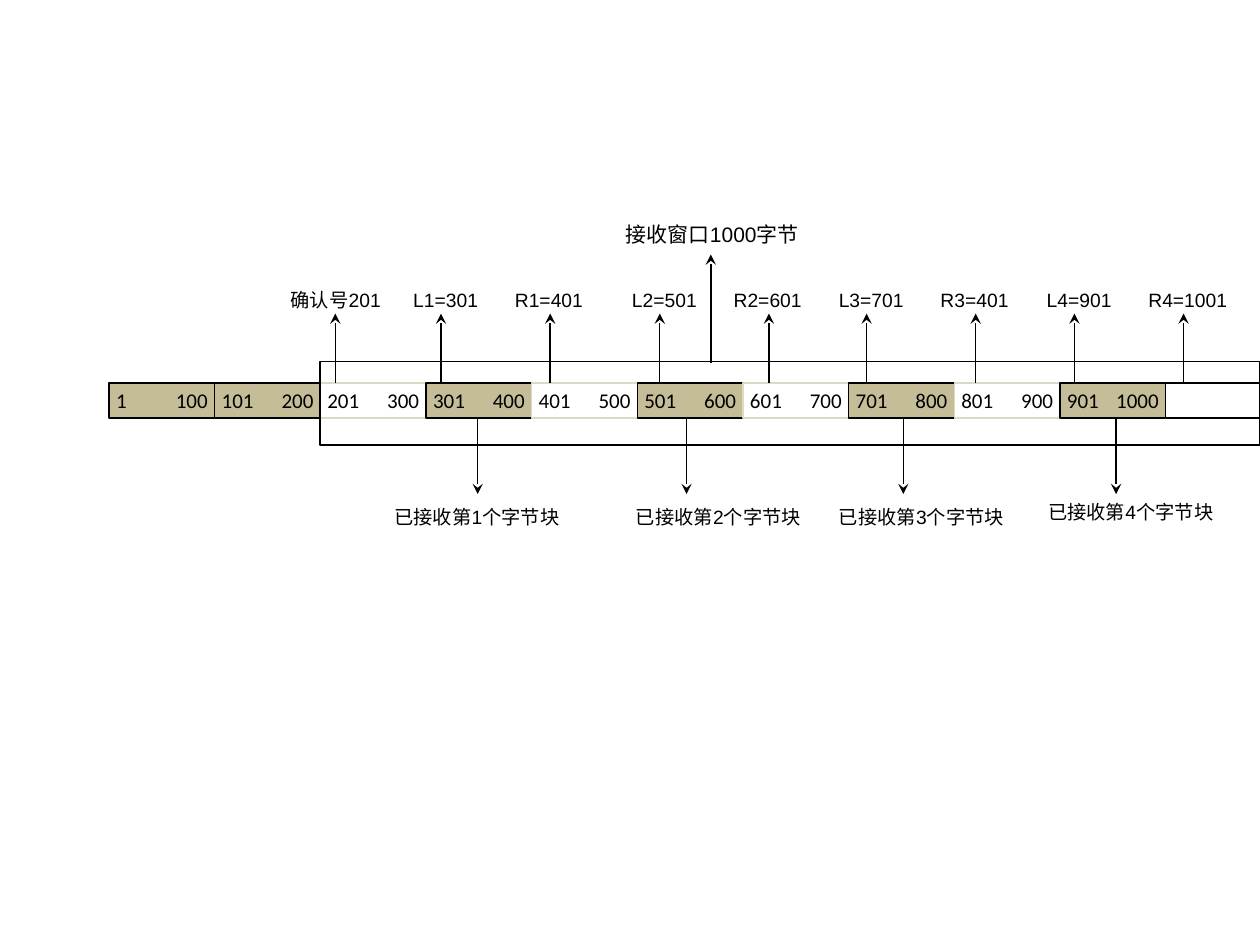
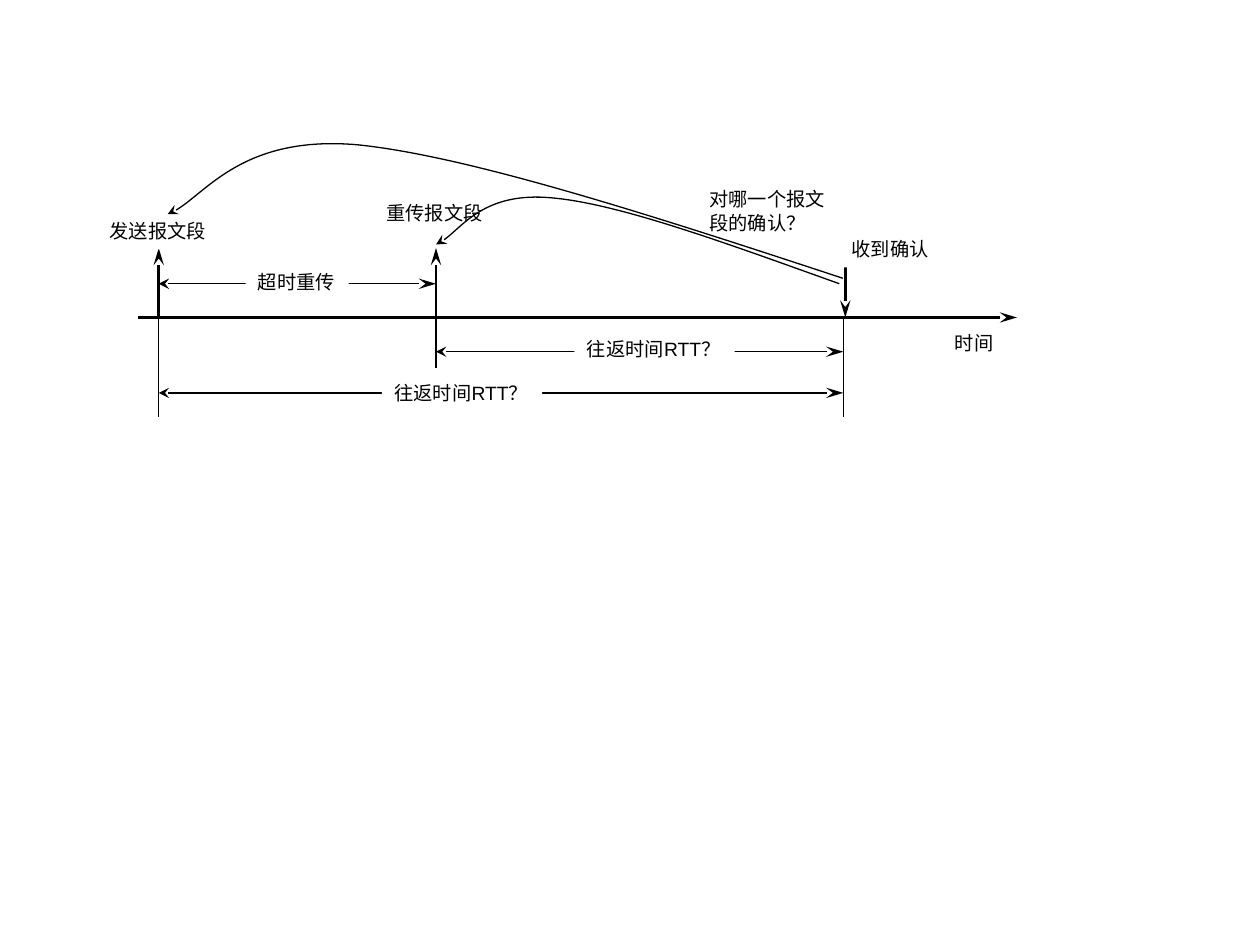
from pptx import Presentation
from pptx.dml.color import RGBColor
from pptx.enum.shapes import MSO_CONNECTOR, MSO_SHAPE
from pptx.enum.text import MSO_ANCHOR, MSO_AUTO_SIZE, PP_ALIGN
from pptx.oxml.ns import qn
from pptx.oxml.xmlchemy import OxmlElement
from pptx.util import Cm, Pt

RECT = MSO_SHAPE.RECTANGLE
STRAIGHT = MSO_CONNECTOR.STRAIGHT
MIDDLE = MSO_ANCHOR.MIDDLE
LEFT = PP_ALIGN.LEFT
GROW = MSO_AUTO_SIZE.SHAPE_TO_FIT_TEXT

BLACK, WHITE, TAN, PALE = "000000", "FFFFFF", "C4BD97", "DDD9C3"
LABEL_FONT = {"name": "Arial", "size": Pt(11)}
WINDOW_FONT = {"name": "Arial", "size": Pt(12)}
CELL_FONT = {"name": "Calibri", "size": Pt(12)}
THIN, THICK = 0.75, 1.5
LABEL_H = 0.74


def rgb(value):
    return RGBColor.from_string(value)


def add_child(parent, tag, **attrs):
    el = OxmlElement(tag)
    for key, value in attrs.items():
        el.set(key, value)
    parent.append(el)
    return el


def format_run(r, fmt):
    for key, value in fmt.items():
        setattr(r.font, key, value)
    r.font.color.rgb = rgb(BLACK)


def set_line(sp, color=BLACK, width=THIN, head=None, tail=None, length="med"):
    """Outline colour and width, then optional arrowheads."""
    sp.line.color.rgb = rgb(color)
    sp.line.width = Pt(width)
    ln = sp.line._get_or_add_ln()
    if head:
        add_child(ln, "a:headEnd", type=head, w="med", len="med")
    if tail:
        add_child(ln, "a:tailEnd", type=tail, w="med", len=length)


def add_box(s, x, y, w, h, fill=None, line=BLACK):
    sp = s.shapes.add_shape(RECT, Cm(x), Cm(y), Cm(w), Cm(h))
    sp.shadow.inherit = False
    if fill:
        sp.fill.solid()
        sp.fill.fore_color.rgb = rgb(fill)
    else:
        sp.fill.background()
    set_line(sp, line)
    return sp


def add_cell(s, x, y, w, h, first, last, fill, line):
    """Byte block: first number at the left, last one on a right tab stop."""
    pad = 0.14
    tf = add_box(s, x, y, w, h, fill, line).text_frame
    for key, value in {"margin_left": Cm(pad), "margin_right": 0, "margin_top": 0,
                       "margin_bottom": 0, "vertical_anchor": MIDDLE,
                       "word_wrap": False}.items():
        setattr(tf, key, value)
    p = tf.paragraphs[0]
    p.alignment = LEFT
    tabs = add_child(p._p.get_or_add_pPr(), "a:tabLst")
    add_child(tabs, "a:tab", pos=str(Cm(w - 2 * pad)), algn="r")
    r = p.add_run()
    r.text = f"{first}\t{last}"
    format_run(r, CELL_FONT)


def add_label(s, text, x, y, w, h=LABEL_H, fmt=LABEL_FONT, fill=None, wrap=False):
    sp = s.shapes.add_textbox(Cm(x), Cm(y), Cm(w), Cm(h))
    if fill:
        sp.fill.solid()
        sp.fill.fore_color.rgb = rgb(fill)
    tf = sp.text_frame
    tf.text = text
    tf.word_wrap = wrap
    tf.auto_size = GROW
    for p in tf.paragraphs:
        for r in p.runs:
            format_run(r, fmt)


def add_line(s, x1, y1, x2, y2, **style):
    cx = s.shapes.add_connector(STRAIGHT, Cm(x1), Cm(y1), Cm(x2), Cm(y2))
    set_line(cx, **style)
    add_child(cx._element.spPr, "a:effectLst")


def add_curve(s, points):
    """Arrowed Bezier curve: a start point, then three points per segment."""
    pts = [(Cm(x), Cm(y)) for x, y in points]
    builder = s.shapes.build_freeform(*pts[0])
    builder.add_line_segments(pts[1:], close=False)
    sp = builder.convert_to_shape()
    sp.shadow.inherit = False
    sp.fill.background()
    set_line(sp, tail="stealth")
    steps = list(sp._element.iter(qn("a:lnTo")))
    outline = steps[0].getparent()
    for i in range(0, len(steps), 3):
        bezier = add_child(outline, "a:cubicBezTo")
        for step in steps[i:i + 3]:
            bezier.append(step[0])
            outline.remove(step)


def build_receive_window(s):
    left, top, w, h = 2.2, 7.72, 2.13, 0.71
    label_y, tip_y = 5.69, 6.32

    # Byte blocks; those already received are tan
    for i in range(10):
        received = i in (0, 1, 3, 5, 7, 9)
        add_cell(s, left + i * w, top, w, h, 100 * i + 1, 100 * (i + 1),
                 TAN if received else WHITE, BLACK if received else PALE)
    add_box(s, left + 10 * w, top, w, h)

    # Receive window and acknowledgement number
    add_box(s, 6.45, 7.29, 18.95, 1.68)
    add_line(s, 14.33, 7.32, 14.33, 5.13, tail="stealth")
    add_label(s, "接收窗口1000字节", 12.37, 4.34, 4.01, fmt=WINDOW_FONT, wrap=True)
    add_line(s, 6.76, top, 6.76, tip_y, tail="stealth")
    add_label(s, "确认号201", 5.61, label_y, 2.34, wrap=True)

    # Left and right edges of each received block
    for x, left_edge, right_edge in ((8.89, "L1=301", "R1=401"),
                                     (13.3, "L2=501", "R2=601"),
                                     (17.47, "L3=701", "R3=401"),
                                     (21.66, "L4=901", "R4=1001")):
        for arrow_x in (x, x + 2.2):
            add_line(s, arrow_x, top, arrow_x, tip_y, tail="stealth")
        add_label(s, left_edge, x - 0.81, label_y, 1.83)
        add_label(s, right_edge, x + 1.24, label_y,
                  2.11 if len(right_edge) > 6 else 1.9)

    # Names of the received blocks
    blocks = ((9.63, 7.7, 10.06), (13.84, 12.57, 10.06),
              (18.21, 16.66, 10.06), (22.5, 20.88, 9.96))
    for n, (arrow_x, x, y) in enumerate(blocks, 1):
        add_line(s, arrow_x, top + h, arrow_x, 9.96, tail="stealth")
        add_label(s, f"已接收第{n}个字节块", x, y, 3.86, wrap=True)


def build_rtt_timeline(s):
    axis_y, event_y = 6.4, 5.0
    sent, resent, acked = 3.2, 8.79, 17.0
    arrow = {"tail": "stealth", "length": "lg"}
    bold_arrow = {**arrow, "width": THICK}

    # Time axis and events
    add_line(s, 2.79, axis_y, 20.5, axis_y, **bold_arrow)
    for x in (sent, resent):
        add_line(s, x, axis_y, x, event_y, **bold_arrow)
    add_line(s, 17.04, event_y, 17.04, axis_y, **bold_arrow)

    # Guides and spans
    for x, y in ((sent, 8.41), (resent, 7.42), (acked, 8.41)):
        add_line(s, x, y, x, axis_y)
    for x1, x2, y in ((sent, resent, 5.72), (resent, acked, 7.09),
                      (sent, acked, 7.92)):
        add_line(s, x1, y, x2, y, head="stealth", **arrow)

    # Labels
    for x, y in ((7.7, 7.57), (11.58, 6.68)):
        add_label(s, "往返时间RTT？", x, y, 3.23, fill=WHITE, wrap=True)
    for text, x, y, w, h in (("超时重传", 4.95, 5.33, 2.08, LABEL_H),
                             ("发送报文段", 1.96, 4.29, 2.46, LABEL_H),
                             ("重传报文段", 7.54, 3.94, 2.46, LABEL_H),
                             ("对哪一个报文\n段的确认？", 14.05, 3.66, 2.87, 1.19),
                             ("收到确认", 16.92, 4.65, 2.08, LABEL_H),
                             ("时间", 19.0, 6.55, 1.3, LABEL_H)):
        add_label(s, text, x, y, w, h, fill=WHITE)

    # From the acknowledgement back to either segment
    add_curve(s, ((16.92, 5.72), (14.71, 4.93), (12.5, 4.11), (11.13, 3.99),
                  (9.78, 3.86), (9.17, 4.78), (8.79, 4.93)))
    add_curve(s, ((16.99, 5.61), (13.23, 4.37), (9.47, 3.15), (7.21, 2.92),
                  (4.93, 2.72), (4.01, 4.09), (3.38, 4.32)))


def main():
    prs = Presentation()
    prs.slide_width, prs.slide_height = Cm(25.4), Cm(19.05)
    blank = prs.slide_layouts[6]
    for build in (build_receive_window, build_rtt_timeline):
        build(prs.slides.add_slide(blank))
    prs.save("out.pptx")


if __name__ == "__main__":
    main()
